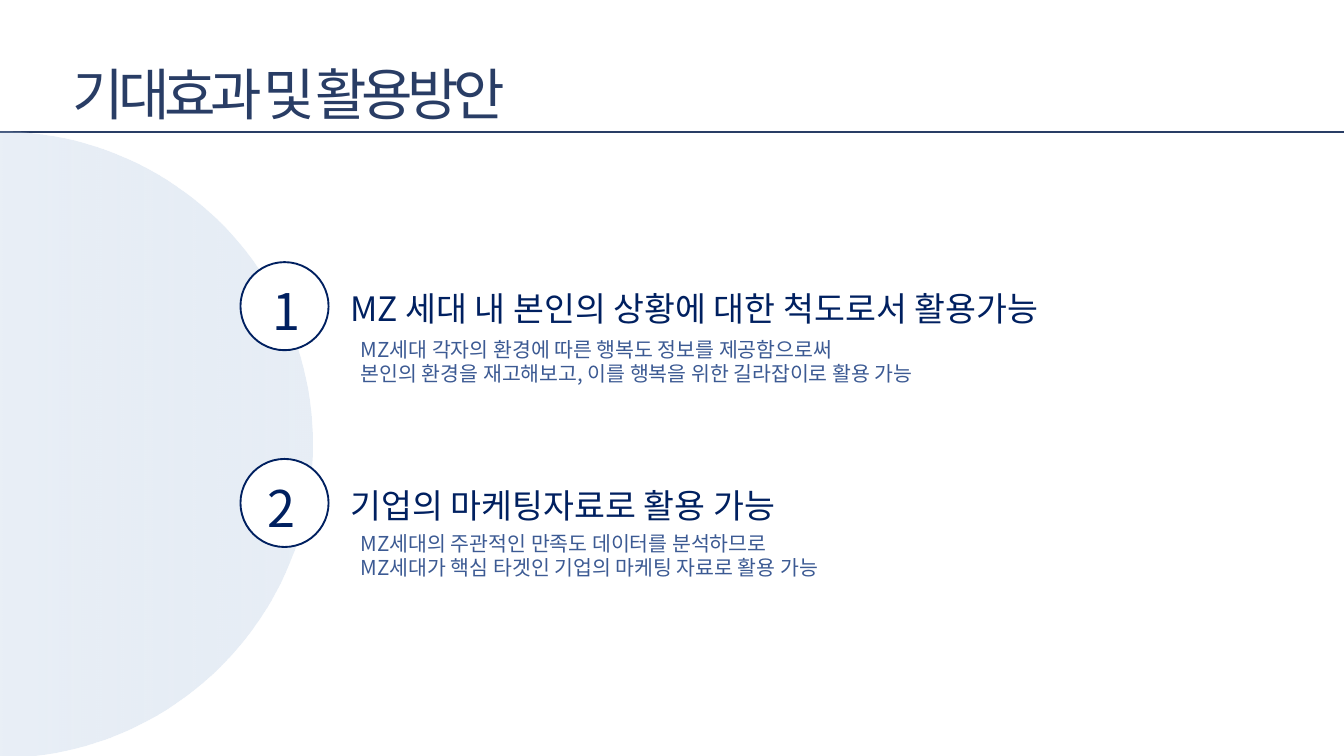
"""Build the slide on expected effects and uses."""
import math

import pptx
import pptx.dml.color
import pptx.enum.shapes
import pptx.enum.text
import pptx.oxml.ns
import pptx.oxml.xmlchemy
import pptx.util
from pptx.util import Cm

TITLE = "기대효과 및 활용방안"
ITEMS = [
    {
        "number": "1", "number_left": 10.06, "number_width": 1.42, "body_top": 12.6,
        "heading": "MZ 세대 내 본인의 상황에 대한 척도로서 활용가능",
        "body": ["MZ세대 각자의 환경에 따른 행복도 정보를 제공함으로써",
                 "본인의 환경을 재고해보고, 이를 행복을 위한 길라잡이로 활용 가능"],
    },
    {
        "number": "2", "number_left": 9.88, "number_width": 1.8, "body_top": 19.94,
        "heading": "기업의 마케팅자료로 활용 가능",
        "body": ["MZ세대의 주관적인 만족도 데이터를 분석하므로",
                 "MZ세대가 핵심 타겟인 기업의 마케팅 자료로 활용 가능"],
    },
]
COLORS = {"title": "293D65", "navy": "002060", "body": "3C5A93", "white": "FFFFFF",
          "arc_start": "B0C6E1", "arc_end": "CAD9EB"}
FONT = "Noto Sans CJK KR"
SLIDE_WIDTH, SLIDE_HEIGHT = 50.8, 28.58
RULE_TOP = 4.98
ARC_RADIUS = 11.82
FIRST_TOP, ITEM_PITCH = 9.91, 7.44
CIRCLE_LEFT, CIRCLE_SIZE = 9.09, 3.33


def color(name):
    return pptx.dml.color.RGBColor.from_string(COLORS[name])


def element(tag, **attributes):
    node = pptx.oxml.xmlchemy.OxmlElement(tag)
    for name, value in attributes.items():
        node.set(name, value)
    return node


def add_text(shapes, lines, place, size, color_name, leading, wrap=True, spacing=None):
    box = shapes.add_textbox(*(Cm(value) for value in place))
    frame = box.text_frame
    frame.word_wrap = wrap
    frame.auto_size = pptx.enum.text.MSO_AUTO_SIZE.SHAPE_TO_FIT_TEXT
    for index, line in enumerate(lines):
        para = frame.paragraphs[0] if index == 0 else frame.add_paragraph()
        para.line_spacing = pptx.util.Pt(round(size * leading, 1))
        para.font.size = pptx.util.Pt(size)
        para.font.name = FONT
        para.font.color.rgb = color(color_name)
        span = para.add_run()
        span.text = line
        properties = span._r.get_or_add_rPr()
        if spacing is not None:
            properties.set("spc", str(spacing * 100))
        properties.append(element("a:ea", typeface=FONT))
    return box


def add_rule(page):
    rule = page.shapes.add_connector(pptx.enum.shapes.MSO_CONNECTOR.STRAIGHT,
                                     0, Cm(RULE_TOP), Cm(SLIDE_WIDTH), Cm(RULE_TOP))
    rule.line.color.rgb = color("title")
    rule.line.width = pptx.util.Pt(2.25)
    rule._element.spPr.append(element("a:effectLst"))


def add_half_disc(page):
    angles = [math.radians(degree) for degree in range(-90, 91, 2)]
    points = [(Cm(ARC_RADIUS * math.cos(angle)),
               Cm(RULE_TOP + ARC_RADIUS * (1 + math.sin(angle)))) for angle in angles]
    builder = page.shapes.build_freeform(*points[0])
    builder.add_line_segments(points[1:], close=True)
    disc = builder.convert_to_shape()
    disc.shadow.inherit = False
    disc.line.fill.background()
    disc.fill.gradient()
    disc.fill.gradient_angle = 0
    stops = zip(disc.fill.gradient_stops, [("arc_start", 0, 28), ("arc_end", 1, 45)])
    for stop, (name, position, opacity) in stops:
        stop.position = position
        stop.color.rgb = color(name)
        tint = stop._gs.find(pptx.oxml.ns.qn("a:srgbClr"))
        tint.append(element("a:alpha", val=str(opacity * 1000)))


def add_badge(page, item, top):
    badge = page.shapes.add_group_shape()
    circle = badge.shapes.add_shape(pptx.enum.shapes.MSO_SHAPE.OVAL, Cm(CIRCLE_LEFT),
                                    Cm(top), Cm(CIRCLE_SIZE), Cm(CIRCLE_SIZE))
    circle.shadow.inherit = False
    circle.fill.solid()
    circle.fill.fore_color.rgb = color("white")
    circle.line.color.rgb = color("navy")
    circle.line.width = pptx.util.Pt(2)
    add_text(badge.shapes, [item["number"]],
             (item["number_left"], top + 0.38, item["number_width"], 2.57),
             54, "navy", 1.3, wrap=False)


def main():
    deck = pptx.Presentation()
    deck.slide_width, deck.slide_height = Cm(SLIDE_WIDTH), Cm(SLIDE_HEIGHT)
    page = deck.slides.add_slide(deck.slide_layouts[6])
    title = add_text(page.shapes, [TITLE], (2.49, 2.08, 22.28, 2.82),
                     60, "title", 1.2, spacing=-6)
    title.text_frame.vertical_anchor = pptx.enum.text.MSO_ANCHOR.BOTTOM
    add_rule(page)
    add_half_disc(page)
    for index, item in enumerate(ITEMS):
        top = FIRST_TOP + index * ITEM_PITCH
        add_text(page.shapes, [item["heading"]], (13, top + 0.78, 32.59, 1.8),
                 36, "navy", 1.25)
        add_badge(page, item, top)
        add_text(page.shapes, item["body"], (13.39, item["body_top"], 32.59, 2.13),
                 22, "body", 1.2)
    deck.save("out.pptx")


if __name__ == "__main__":
    main()
